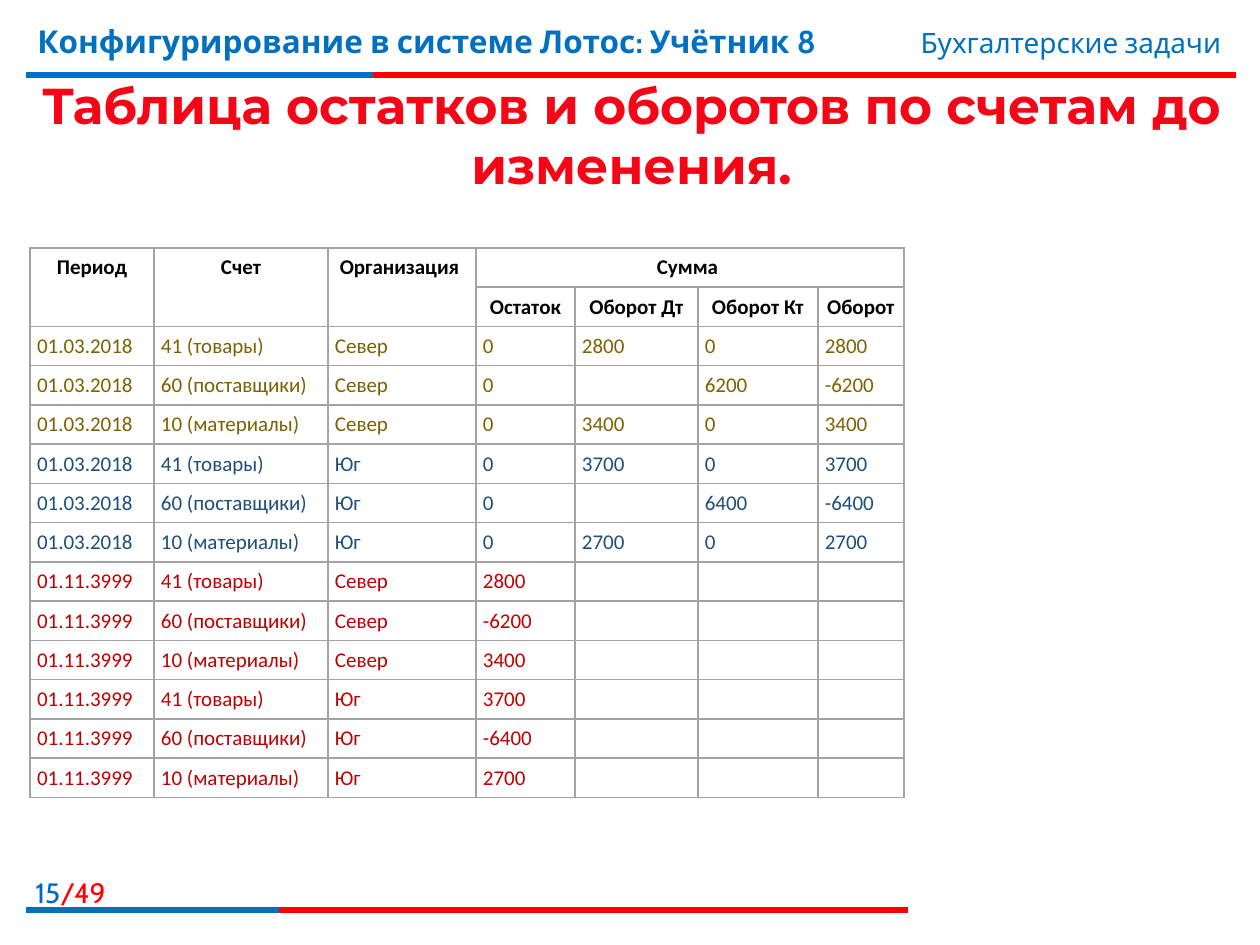
from dataclasses import dataclass

from lxml.etree import SubElement
from pptx import Presentation
from pptx.dml.color import RGBColor
from pptx.enum.shapes import MSO_CONNECTOR
from pptx.enum.text import MSO_ANCHOR, PP_ALIGN
from pptx.oxml import parse_xml
from pptx.oxml.ns import nsdecls, qn
from pptx.util import Emu, Pt

PX_PER_INCH = 126
SLIDE_WIDTH, SLIDE_HEIGHT = 1260, 945


def px(length):
    return Emu(round(length * 914400 / PX_PER_INCH))


@dataclass(frozen=True)
class Theme:
    red: str = "FF0000"
    blue: str = "0070C0"
    page_blue: str = "0066CC"
    title_top: str = "F50516"
    title_bottom: str = "C00000"
    title_outline: str = "FFFFFF"
    table_header: str = "000000"
    north: str = "7F6000"
    south: str = "1E4E79"
    totals: str = "C00000"
    border: str = "A3A3A3"
    running_font: str = "Cabin"
    title_font: str = "Montserrat"
    table_font: str = "Calibri"
    title_size: float = 28.8
    course_size: float = 18
    running_size: float = 16
    table_size: float = 12
    rule_width: float = 3
    border_width: float = 1
    outline_width: float = 0.75


class SlideBuilder:
    def __init__(self, slide, theme):
        self.slide = slide
        self.theme = theme

    def style(self, run, font, size, color, bold=False):
        run.font.name = font
        run.font.size = Pt(size)
        run.font.bold = bold
        run.font.color.rgb = RGBColor.from_string(color)

    def line(self, left, right, y, color):
        connector = self.slide.shapes.add_connector(
            MSO_CONNECTOR.STRAIGHT, px(left), px(y), px(right), px(y))
        connector.line.color.rgb = RGBColor.from_string(color)
        connector.line.width = Pt(self.theme.rule_width)
        SubElement(connector._element.spPr, qn("a:effectLst"))

    def two_tone_rule(self, left, split, right, y):
        self.line(left, right, y, self.theme.red)
        self.line(left, split, y, self.theme.blue)

    def text(self, box, parts, font, size, bold=False,
             align=PP_ALIGN.LEFT, anchor=MSO_ANCHOR.TOP):
        """Add one paragraph made of (text, colour) parts and return it."""
        shape = self.slide.shapes.add_textbox(*map(px, box))
        shape.text_frame.word_wrap = True
        shape.text_frame.vertical_anchor = anchor
        paragraph = shape.text_frame.paragraphs[0]
        paragraph.alignment = align
        for text, color in parts:
            run = paragraph.add_run()
            run.text = text
            self.style(run, font, size, color, bold)
        return paragraph

    def title(self, box, text):
        theme = self.theme
        paragraph = self.text(box, [(text, theme.title_top)], theme.title_font,
                              theme.title_size, True, PP_ALIGN.CENTER, MSO_ANCHOR.MIDDLE)
        font = paragraph.runs[0].font
        font.fill.gradient()
        font.fill.gradient_angle = 270
        stops = ((0.55, theme.title_top), (0.86, theme.title_bottom))
        for stop, (position, color) in zip(font.fill.gradient_stops, stops):
            stop.position = position
            stop.color.rgb = RGBColor.from_string(color)
        font._element.insert(0, self.outline("ln", theme.title_outline, theme.outline_width))

    def outline(self, tag, color, width):
        return parse_xml(
            f'<a:{tag} {nsdecls("a")} w="{Pt(width)}"><a:solidFill>'
            f'<a:srgbClr val="{color}"/></a:solidFill></a:{tag}>')

    def table(self, left, top, widths, row_height, rows, header_rows, merges):
        """Add a table from (colour, texts) rows; merges are cell corner pairs."""
        shape = self.slide.shapes.add_table(
            len(rows), len(widths), px(left), px(top),
            px(sum(widths)), px(row_height * len(rows)))
        table = shape.table
        table.first_row = table.horz_banding = False
        for column, width in zip(table.columns, widths):
            column.width = px(width)
        for row_index, (color, texts) in enumerate(rows):
            table.rows[row_index].height = px(row_height)
            for column_index, text in enumerate(texts):
                self.cell(table.cell(row_index, column_index), text, color,
                          row_index < header_rows)
        for first, last in merges:
            table.cell(*first).merge(table.cell(*last))

    def cell(self, cell, text, color, is_header):
        theme = self.theme
        cell.margin_left = cell.margin_right = px(7)
        cell.margin_top = cell.margin_bottom = px(7)
        properties = cell._tc.get_or_add_tcPr()
        for side in ("lnL", "lnR", "lnT", "lnB"):
            properties.append(self.outline(side, theme.border, theme.border_width))
        cell.fill.background()
        paragraph = cell.text_frame.paragraphs[0]
        if not text:
            # An empty cell keeps the row low only if its end mark is small.
            SubElement(paragraph._p, qn("a:endParaRPr"), sz=str(theme.table_size * 100))
            return
        paragraph.text = text
        paragraph.alignment = PP_ALIGN.CENTER if is_header else PP_ALIGN.LEFT
        self.style(paragraph.runs[0], theme.table_font, theme.table_size, color, is_header)


def account_rows(theme):
    accounts = ("41 (товары)", "60 (поставщики)", "10 (материалы)")
    organizations = (
        ("Север", theme.north, (2800, -6200, 3400)),
        ("Юг", theme.south, (3700, -6400, 2700)),
    )
    movements, totals = [], []
    for organization, color, turnovers in organizations:
        for account, turnover in zip(accounts, turnovers):
            amount = str(abs(turnover))
            debit, credit = (amount, "0") if turnover > 0 else ("", amount)
            movements.append((color, ("01.03.2018", account, organization,
                                      "0", debit, credit, str(turnover))))
            totals.append((theme.totals, ("01.11.3999", account, organization,
                                          str(turnover), "", "", "")))
    return movements + totals


def main():
    presentation = Presentation()
    presentation.slide_width = px(SLIDE_WIDTH)
    presentation.slide_height = px(SLIDE_HEIGHT)
    theme = Theme()
    builder = SlideBuilder(
        presentation.slides.add_slide(presentation.slide_layouts[6]), theme)

    builder.two_tone_rule(26, 373, 1236, 75)
    builder.text((-13, 869, 131, 40), [("15", theme.page_blue), ("/49", theme.red)],
                 theme.running_font, theme.running_size, align=PP_ALIGN.RIGHT)
    builder.two_tone_rule(26, 279, 908, 910)
    builder.text((25, 16, 932, 78),
                 [("Конфигурирование в системе Лотос: Учётник 8", theme.blue)],
                 theme.running_font, theme.course_size, bold=True)
    builder.text((748, 19, 486, 47), [("Бухгалтерские задачи", theme.blue)],
                 theme.running_font, theme.running_size, align=PP_ALIGN.RIGHT)
    builder.title((26, 79, 1211, 111), "Таблица остатков и оборотов по счетам до изменения.")

    header = [
        (theme.table_header, ("Период", "Счет", "Организация ", "Сумма ", "", "", "")),
        (theme.table_header, ("", "", "", "Остаток", "Оборот Дт", "Оборот Кт", "Оборот")),
    ]
    merges = [((0, column), (1, column)) for column in range(3)] + [((0, 3), (0, 6))]
    builder.table(30, 248, (124, 174, 148, 99, 123, 120, 86), 39,
                  header + account_rows(theme), len(header), merges)
    presentation.save("out.pptx")


if __name__ == "__main__":
    main()
